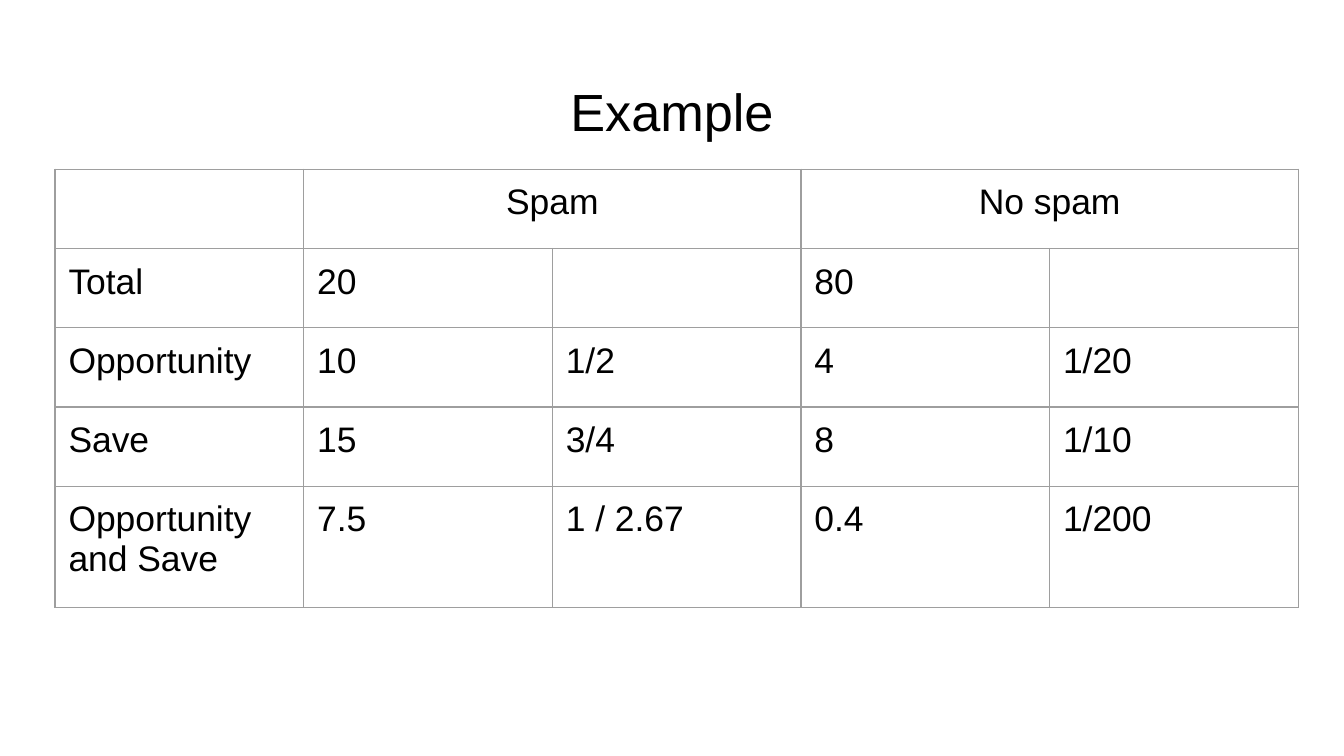
from lxml import etree
from pptx import Presentation
from pptx.dml.color import RGBColor
from pptx.enum import text as t
from pptx.oxml import ns
from pptx.util import Inches, Pt

BLACK = RGBColor(0, 0, 0)
GRAY = RGBColor(0x9E, 0x9E, 0x9E)
PAD = Inches(0.1)
ROWS = [
    ["", "Spam", "", "No spam", ""],
    ["Total", "20", "", "80", ""],
    ["Opportunity", "10", "1/2", "4", "1/20"],
    ["Save", "15", "3/4", "8", "1/10"],
    ["Opportunity and Save", "7.5", "1 / 2.67", "0.4", "1/200"],
]


def style(frame, size, align):
    """Format all text of a frame."""
    for para in frame.paragraphs:
        para.alignment = align
        for run in para.runs:
            run.font.name = "Arial"
            run.font.size = Pt(size)
            run.font.color.rgb = BLACK


def pad(item):
    """Set equal margins on a cell or text frame."""
    item.margin_left = item.margin_right = PAD
    item.margin_top = item.margin_bottom = PAD


def border(cell):
    """Draw a thin gray line on each side of a cell."""
    props = cell._tc.get_or_add_tcPr()
    for spot, side in enumerate(("lnL", "lnR", "lnT", "lnB")):
        line = etree.Element(ns.qn(f"a:{side}"), w=str(Pt(0.75)))
        fill = etree.SubElement(line, ns.qn("a:solidFill"))
        etree.SubElement(fill, ns.qn("a:srgbClr"), val=str(GRAY))
        props.insert(spot, line)


def add_title(slide, box, words):
    """Place the slide title in its box."""
    title = slide.shapes.title
    title.left, title.top, title.width, title.height = map(Inches, box)
    frame = title.text_frame
    frame.text = words
    frame.word_wrap = True
    frame.auto_size = t.MSO_AUTO_SIZE.NONE
    frame.vertical_anchor = t.MSO_ANCHOR.TOP
    pad(frame)
    style(frame, 28, t.PP_ALIGN.CENTER)


def add_grid(slide, box, rows, highs):
    """Place the table with paired header cells in its box."""
    count = len(rows[0])
    grid = slide.shapes.add_table(len(rows), count, *map(Inches, box)).table
    for col in grid.columns:
        col.width = Inches(box[2] / count)
    for row, high in zip(grid.rows, highs):
        row.height = Inches(high)
    for r, row in enumerate(rows):
        for c, words in enumerate(row):
            cell = grid.cell(r, c)
            cell.fill.background()
            border(cell)
            pad(cell)
            cell.text = words
            style(cell.text_frame, 19, t.PP_ALIGN.LEFT if r else t.PP_ALIGN.CENTER)
    for c in range(1, count, 2):
        grid.cell(0, c).merge(grid.cell(0, c + 1))
    grid.first_row = grid.horz_banding = False


def main():
    """Build and save the slide."""
    deck = Presentation()
    deck.slide_width = Inches(10)
    deck.slide_height = deck.slide_width * 9 // 16
    slide = deck.slides.add_slide(deck.slide_layouts[5])
    add_title(slide, (0.34, 0.49, 9.32, 0.63), "Example")
    add_grid(slide, (0.41, 1.26, 9.25, 3.26), ROWS, [0.59] * 4 + [0.9])
    deck.save("out.pptx")


main()
